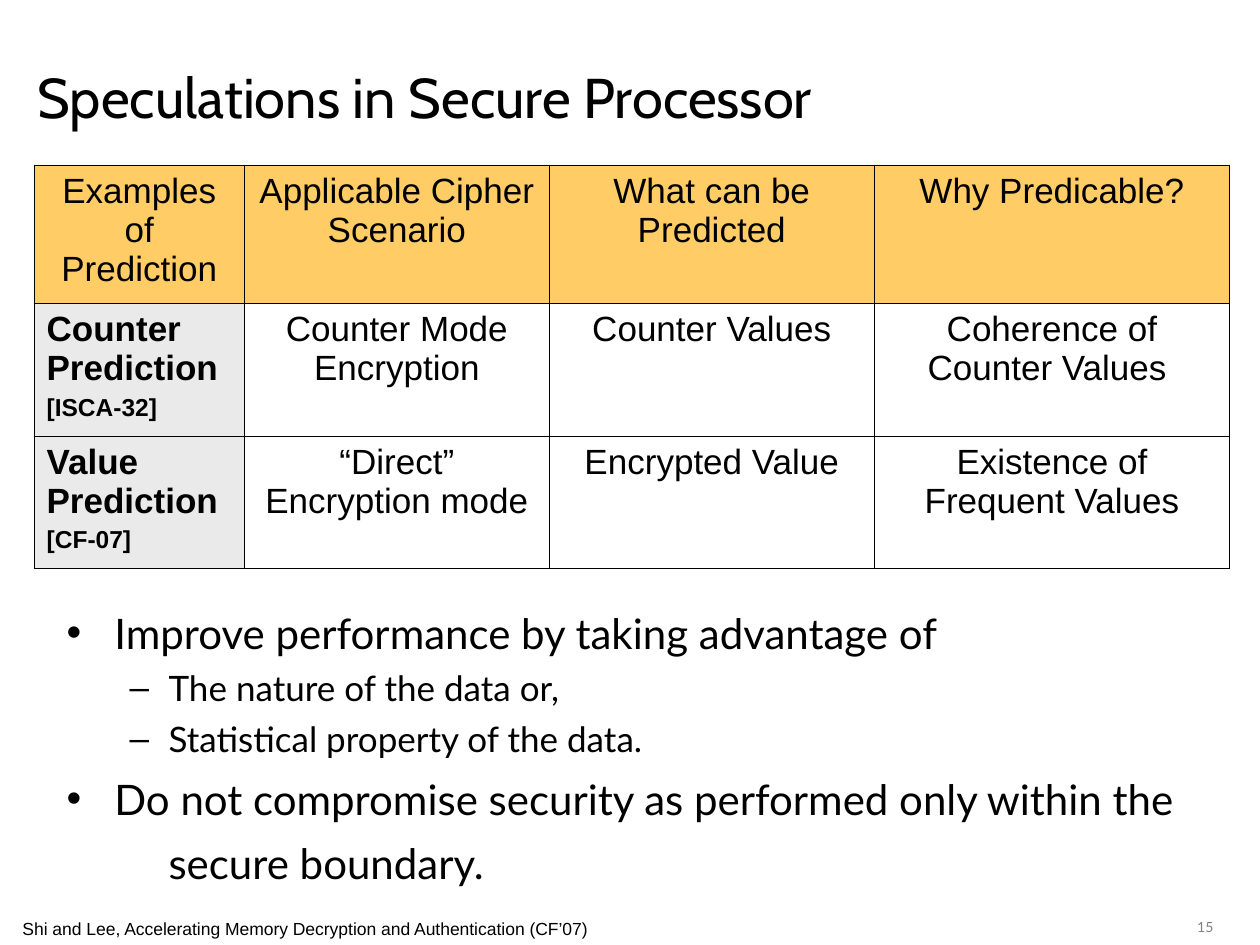
from lxml import etree
from pptx import Presentation
from pptx.dml.color import RGBColor
from pptx.enum.text import MSO_ANCHOR, PP_ALIGN
from pptx.oxml.ns import qn
from pptx.util import Inches, Pt

LEFT, CENTER, RIGHT = PP_ALIGN.LEFT, PP_ALIGN.CENTER, PP_ALIGN.RIGHT
MIDDLE = MSO_ANCHOR.MIDDLE
BLACK = RGBColor(0x00, 0x00, 0x00)
WHITE = RGBColor(0xFF, 0xFF, 0xFF)
GRAY = RGBColor(0x80, 0x80, 0x80)
HEADER_GOLD = RGBColor(0xFF, 0xCC, 0x66)
LABEL_GRAY = RGBColor(0xEA, 0xEA, 0xEA)
BORDER_WIDTH = Pt(0.45)


def write(frame, text, size, font="Arial", color=BLACK, bold=False,
          align=LEFT, before=0, margin=0, hanging=0, level=0, bullet=None):
    """Fill the empty first paragraph of frame, or append a new one."""
    paragraph = frame.paragraphs[0]
    if paragraph.runs:
        paragraph = frame.add_paragraph()
    paragraph.alignment = align
    paragraph.space_before = Pt(before)
    paragraph.level = level
    run = paragraph.add_run()
    run.text = text
    run.font.name = font
    run.font.size = Pt(size)
    run.font.bold = bold
    run.font.color.rgb = color
    properties = paragraph._p.get_or_add_pPr()
    properties.set("marL", str(Inches(margin)))
    properties.set("indent", str(Inches(-hanging)))
    if bullet:
        etree.SubElement(properties, qn("a:buFont"), typeface="Arial")
        etree.SubElement(properties, qn("a:buChar"), char=bullet)


def add_frame(left, top, width, height, wrap=True):
    box = slide.shapes.add_textbox(Inches(left), Inches(top), Inches(width), Inches(height))
    box.text_frame.word_wrap = wrap
    return box.text_frame


prs = Presentation()
prs.slide_width, prs.slide_height = Inches(10), Inches(7.5)
slide = prs.slides.add_slide(prs.slide_layouts[6])

citation = add_frame(0.07, 7.24, 4.7, 0.27, wrap=False)
write(citation, "Shi and Lee, Accelerating Memory Decryption and Authentication (CF’07)",
      10, align=CENTER)

title = add_frame(0.2, 0.35, 9.65, 0.83)
title.vertical_anchor = MIDDLE
write(title, "Speculations in Secure Processor", 32, font="Cabin")

# Prediction table: a tuple is a row label with its reference
predictions = [
    ["Examples of Prediction", "Applicable Cipher Scenario",
     "What can be Predicted", "Why Predicable?"],
    [("Counter Prediction", "[ISCA-32]"), "Counter Mode Encryption",
     "Counter Values", "Coherence of Counter Values "],
    [("Value Prediction", "[CF-07]"), "“Direct” Encryption mode",
     "Encrypted Value", "Existence of Frequent Values"],
]
column_widths = [1.67, 2.42, 2.58, 2.82]
row_heights = [1.1, 1.05, 1.05]
table = slide.shapes.add_table(
    len(row_heights), len(column_widths), Inches(0.27), Inches(1.31),
    Inches(sum(column_widths)), Inches(sum(row_heights))).table
for column, width in zip(table.columns, column_widths):
    column.width = Inches(width)
for row, height in zip(table.rows, row_heights):
    row.height = Inches(height)

for r, entries in enumerate(predictions):
    for c, entry in enumerate(entries):
        cell = table.cell(r, c)
        if isinstance(entry, tuple):
            label, reference = entry
            write(cell.text_frame, label, 20, bold=True, before=5)
            write(cell.text_frame, reference, 14, bold=True, before=3.5)
            background = LABEL_GRAY
        else:
            write(cell.text_frame, entry, 20, align=CENTER, before=5)
            background = HEADER_GOLD if r == 0 else WHITE
        # Borders come before the fill in the cell properties
        cell_properties = cell._tc.get_or_add_tcPr()
        for side in ("a:lnL", "a:lnR", "a:lnT", "a:lnB"):
            border = etree.SubElement(cell_properties, qn(side), w=str(BORDER_WIDTH))
            border_fill = etree.SubElement(border, qn("a:solidFill"))
            etree.SubElement(border_fill, qn("a:srgbClr"), val=str(BLACK))
        cell.fill.solid()
        cell.fill.fore_color.rgb = background

benefits = add_frame(0.43, 4.77, 9.13, 2.52)
main_point = dict(size=24, font="Lato", margin=0.38, hanging=0.38, bullet="•")
sub_point = dict(size=20, font="Lato", margin=0.81, hanging=0.31, bullet="–",
                 level=1, before=5)
write(benefits, "Improve performance by taking advantage of", before=6, **main_point)
write(benefits, "The nature of the data or,", **sub_point)
write(benefits, "Statistical property of the data.", **sub_point)
write(benefits, "Do not compromise security as performed only within the",
      before=8, **main_point)
write(benefits, "secure boundary.", 24, font="Lato", margin=0.81, before=8)

page_number = add_frame(9.07, 7.24, 0.66, 0.17)
write(page_number, "15", 8, font="Lato", color=GRAY, align=RIGHT)

prs.save("out.pptx")
